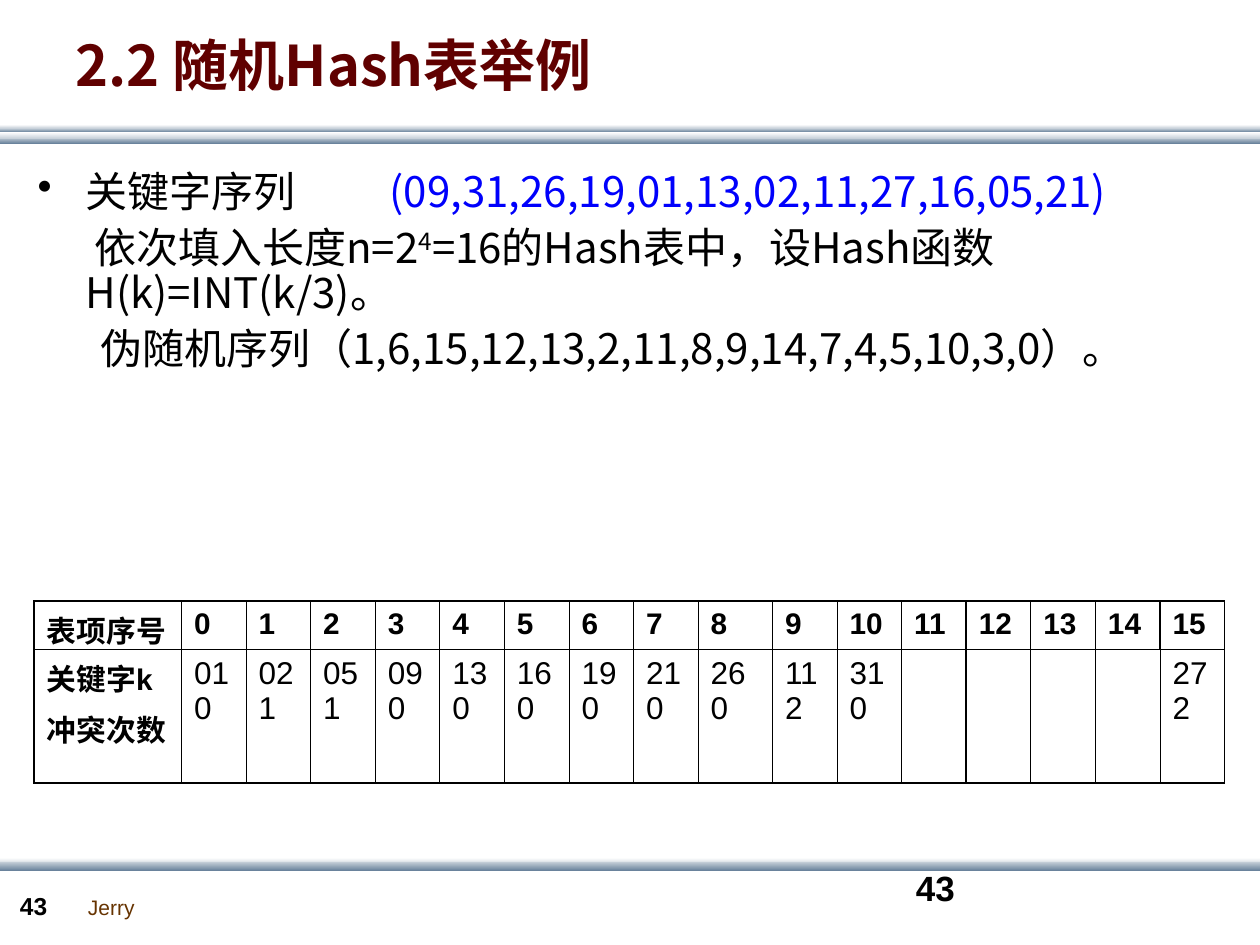
from lxml import etree
from pptx import Presentation
from pptx.dml.color import RGBColor
from pptx.enum.shapes import MSO_SHAPE
from pptx.enum.text import MSO_ANCHOR
from pptx.oxml.ns import qn
from pptx.util import Inches, Pt

RECTANGLE = MSO_SHAPE.RECTANGLE
MIDDLE, TOP = MSO_ANCHOR.MIDDLE, MSO_ANCHOR.TOP

COLORS = {
    "black": "000000", "title": "600000", "keys": "0000FC", "author": "663300",
    "white": "FFFFFF", "light": "C8D1DA", "steel": "6A839C",
}
CJK_FONT = "Noto Sans CJK SC"
STYLES = {
    "title": {"name": CJK_FONT, "size": Pt(32), "bold": True},
    "body": {"name": CJK_FONT, "size": Pt(24), "bold": False},
    "author": {"name": "Arial", "size": Pt(12), "bold": False},
    "number": {"name": "Arial", "size": Pt(14), "bold": True},
    "large number": {"name": "Arial", "size": Pt(20), "bold": True},
    "header": {"name": "Arial", "size": Pt(17), "bold": True},
    "entry": {"name": "Arial", "size": Pt(18), "bold": False},
}
BARS = [
    (1.09, 0.05, "light", "steel"), (1.02, 0.03, "light", "steel"),
    (1.05, 0.05, "white", "light"), (0.99, 0.03, "white", "light"),
    (6.81, 0.05, "white", "light"), (6.84, 0.07, "light", "steel"),
]
HASH_ENTRIES = {
    0: ("01", "0"), 1: ("02", "1"), 2: ("05", "1"), 3: ("09", "0"),
    4: ("13", "0"), 5: ("16", "0"), 6: ("19", "0"), 7: ("21", "0"),
    8: ("26", "0"), 9: ("11", "2"), 10: ("31", "0"), 15: ("27", "2"),
}
SLOTS = 16
THIN, THICK = Pt(0.45), Pt(1.08)


def color(name):
    return RGBColor.from_string(COLORS[name])


def add_run(paragraph, text, style, ink="black", **run_attributes):
    run = paragraph.add_run()
    run.text = text
    for attribute, value in STYLES[style].items():
        setattr(run.font, attribute, value)
    run.font.color.rgb = color(ink)
    properties = run.font._element
    etree.SubElement(properties, qn("a:ea"), typeface=CJK_FONT)
    for attribute, value in run_attributes.items():
        properties.set(attribute, str(value))


def add_bar(slide, top, height, upper, lower):
    bar = slide.shapes.add_shape(RECTANGLE, 0, Inches(top), Inches(10.01), Inches(height))
    bar.shadow.inherit = False
    bar.line.fill.background()
    bar.fill.gradient()
    bar.fill.gradient_angle = 270
    for stop, name in zip(bar.fill.gradient_stops, (upper, lower)):
        stop.color.rgb = color(name)


def add_text_frame(slide, box, wrap=True, anchor=TOP):
    frame = slide.shapes.add_textbox(*map(Inches, box)).text_frame
    frame.word_wrap = wrap
    frame.vertical_anchor = anchor
    return frame


def add_label(slide, box, text, style, ink="black", **layout):
    frame = add_text_frame(slide, box, **layout)
    add_run(frame.paragraphs[0], text, style, ink)


def indent(paragraph, left, first):
    properties = paragraph._p.get_or_add_pPr()
    properties.set("marL", str(Inches(left)))
    properties.set("indent", str(Inches(first)))
    paragraph.line_spacing = 0.9
    return properties


def add_problem(slide):
    frame = add_text_frame(slide, (0.2, 1.31, 9.3, 3.15))
    keys, function, probes = frame.paragraphs[0], frame.add_paragraph(), frame.add_paragraph()

    bullet = indent(keys, 0.38, -0.38)
    bullet_color = etree.SubElement(bullet, qn("a:buClr"))
    etree.SubElement(bullet_color, qn("a:srgbClr"), val=COLORS["black"])
    etree.SubElement(bullet, qn("a:buChar"), char="•")
    add_run(keys, "关键字序列", "body")
    add_run(keys, " ", "body", spc=4850)
    add_run(keys, "(09,31,26,19,01,13,02,11,27,16,05,21)", "body", "keys")

    indent(function, 0.38, 0.07)
    add_run(function, "依次填入长度n=2", "body")
    add_run(function, "4", "body", baseline=30000)
    add_run(function, "=16的Hash表中，设Hash函数 H(k)=INT(k/3)。", "body")

    indent(probes, 0.57, -0.07)
    add_run(probes, "伪随机序列（1,6,15,12,13,2,11,8,9,14,7,4,5,10,3,0）。", "body")
    for paragraph in (function, probes):
        paragraph.space_before = Pt(6)


def set_borders(cell, widths):
    properties = cell._tc.get_or_add_tcPr()
    for position, (side, width) in enumerate(widths.items()):
        line = etree.Element(qn(f"a:ln{side}"), w=str(width))
        fill = etree.SubElement(line, qn("a:solidFill"))
        etree.SubElement(fill, qn("a:srgbClr"), val=COLORS["black"])
        properties.insert(position, line)


def fill_cell(cell, lines, style, gap=0):
    cell.fill.background()
    for index, text in enumerate(lines):
        frame = cell.text_frame
        paragraph = frame.add_paragraph() if index else frame.paragraphs[0]
        if index:
            paragraph.space_before = Pt(gap)
        add_run(paragraph, text, style)


def add_hash_table(slide):
    label_width, wide_slot, total = 1.17, 0.59, 9.45
    slot_width = (total - label_width - wide_slot) / (SLOTS - 1)
    table = slide.shapes.add_table(
        2, SLOTS + 1, Inches(0.27), Inches(4.77), Inches(total), Inches(1.44)).table
    for row, height in zip(table.rows, (0.38, 1.06)):
        row.height = Inches(height)
    for index, column in enumerate(table.columns):
        column.width = Inches({0: label_width, 9: wide_slot}.get(index, slot_width))

    fill_cell(table.cell(0, 0), ["表项序号"], "header")
    fill_cell(table.cell(1, 0), ["关键字k", "冲突次数"], "header", gap=4.2)
    for slot in range(SLOTS):
        fill_cell(table.cell(0, slot + 1), [str(slot)], "header")
        fill_cell(table.cell(1, slot + 1), HASH_ENTRIES.get(slot, ()), "entry")

    for row, thick_edges in enumerate(({0, 13, 16, 17}, {0, 13, 17})):
        for column in range(SLOTS + 1):
            set_borders(table.cell(row, column), {
                "L": THICK if column in thick_edges else THIN,
                "R": THICK if column + 1 in thick_edges else THIN,
                "T": THIN if row else THICK,
                "B": THICK if row else THIN,
            })


def main():
    presentation = Presentation()
    presentation.slide_width, presentation.slide_height = Inches(10), Inches(7.5)
    slide = presentation.slides.add_slide(presentation.slide_layouts[6])
    for bar in BARS:
        add_bar(slide, *bar)
    add_label(slide, (0.6, 7.05, 0.57, 0.3), "Jerry", "author", "author", wrap=False)
    add_label(slide, (0.06, 7.02, 0.55, 0.34), "43", "number")
    add_label(slide, (7.17, 6.83, 2.33, 0.5), "43", "large number")
    add_label(slide, (0.5, 0.12, 9, 0.77), "2.2 随机Hash表举例", "title", "title", anchor=MIDDLE)
    add_problem(slide)
    add_hash_table(slide)
    presentation.save("out.pptx")


if __name__ == "__main__":
    main()
